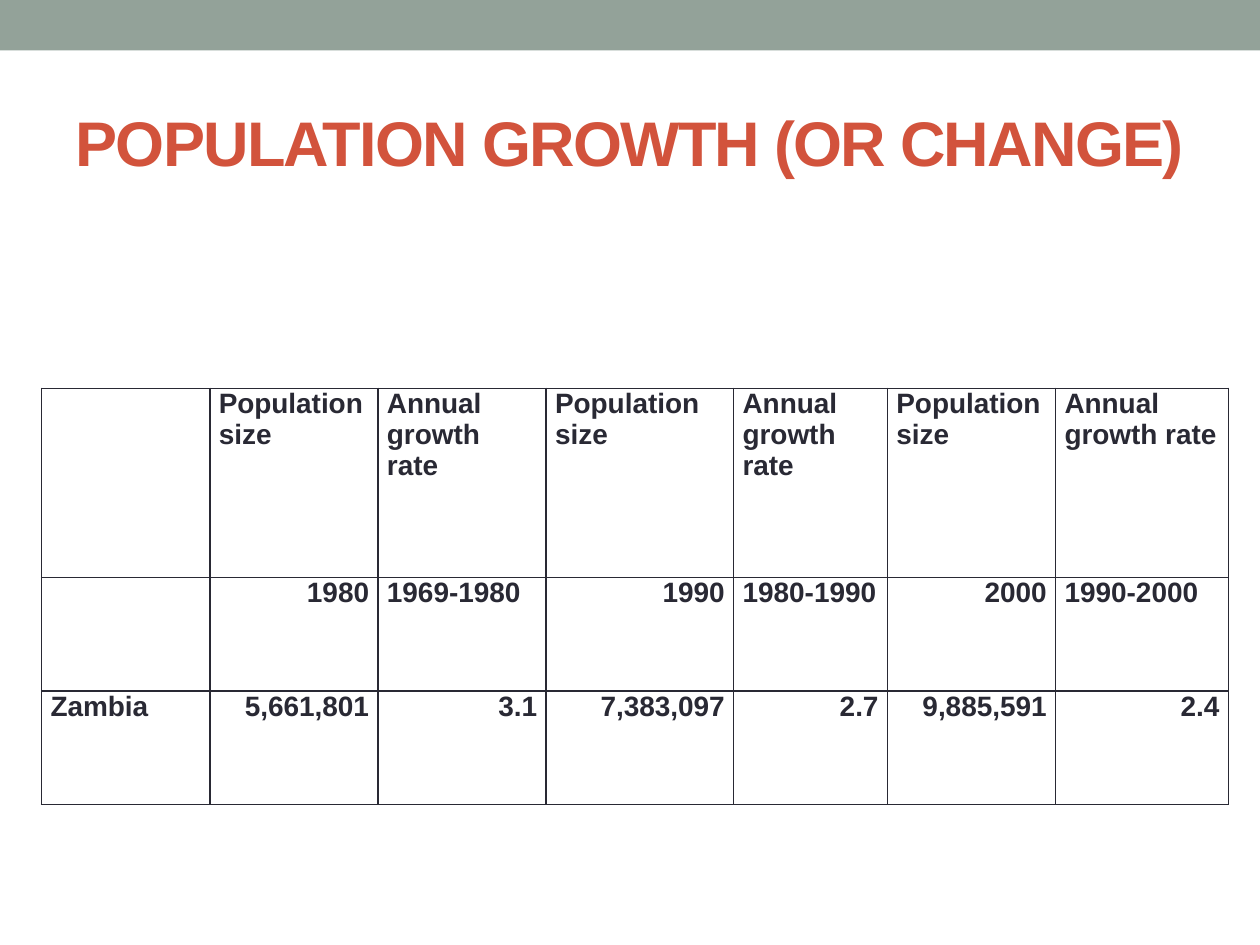
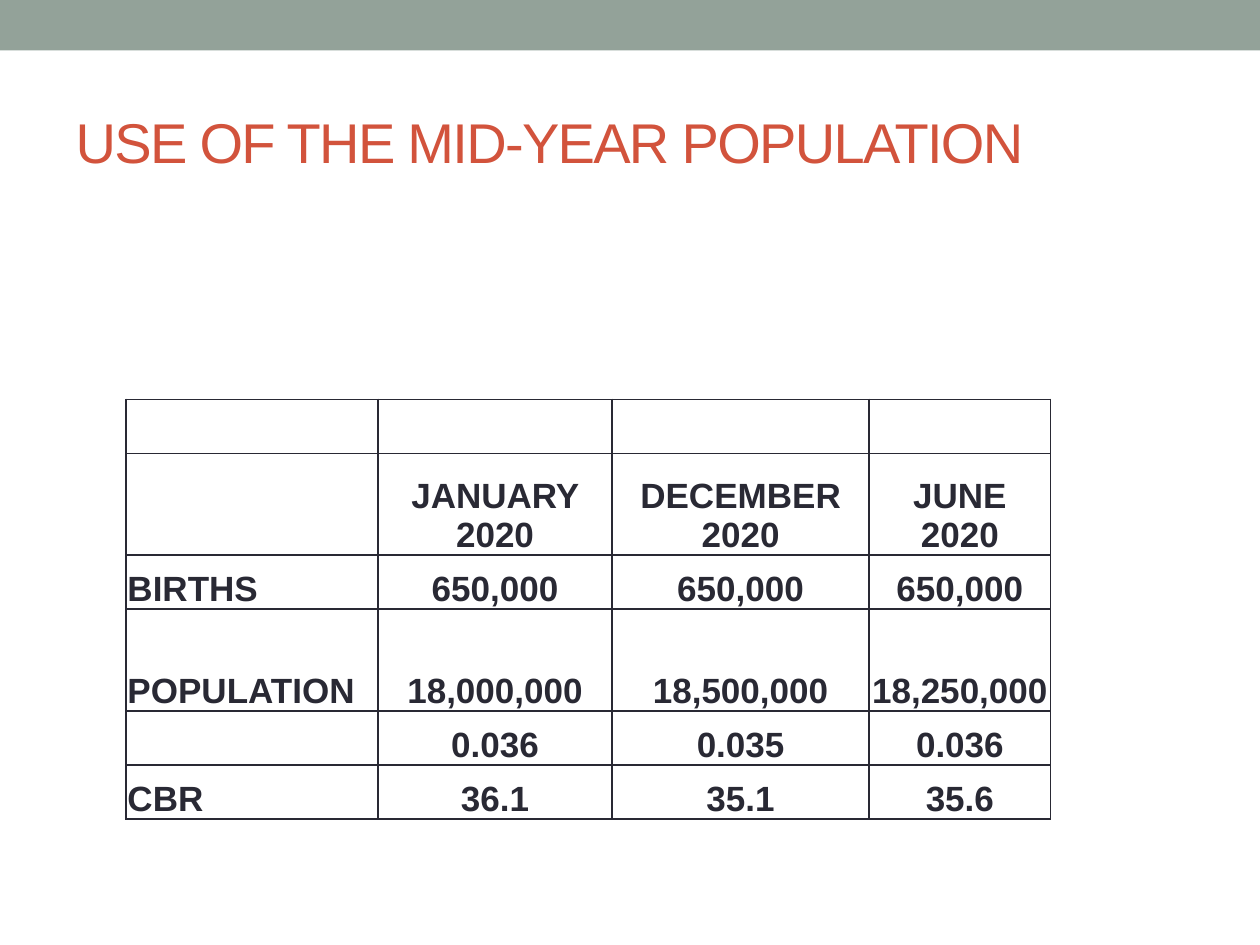
"""Build two slides on population growth and the mid-year population."""
import pptx
import pptx.dml.color
import pptx.enum.shapes
import pptx.enum.text
import pptx.oxml
import pptx.oxml.ns
import pptx.util

Cm = pptx.util.Cm
ALIGN = pptx.enum.text.PP_ALIGN
ANCHOR = pptx.enum.text.MSO_ANCHOR


def rgb(value):
    return pptx.dml.color.RGBColor.from_string(value)


def write(tf, text, size, color, bold=False, align=ALIGN.LEFT, spacing=None):
    p = tf.paragraphs[0]
    p.alignment = align
    if not text:
        p.font.size = pptx.util.Pt(size)
        return
    r = p.add_run()
    r.text = text
    r.font.name = "Arial"
    r.font.size = pptx.util.Pt(size)
    r.font.bold = bold
    r.font.color.rgb = rgb(color)
    if spacing is not None:
        r.font._element.set("spc", str(round(spacing * 100)))


def is_number(text):
    return text.replace(",", "").replace(".", "").isdigit()


class Deck:
    BAND = "93A299"
    ACCENT = "D2533C"
    INK = "292934"

    def __init__(self):
        self.prs = pptx.Presentation()
        self.prs.slide_width = Cm(25.4)
        self.prs.slide_height = Cm(19.05)
        self.s = None

    def slide(self, title, size, bold=False):
        self.s = self.prs.slides.add_slide(self.prs.slide_layouts[5])
        self.band()
        self.title(title, size, bold)

    def band(self):
        sp = self.s.shapes.add_shape(
            pptx.enum.shapes.MSO_SHAPE.RECTANGLE, 0, 0, self.prs.slide_width, Cm(1.02))
        sp.shadow.inherit = False
        sp.fill.solid()
        sp.fill.fore_color.rgb = rgb(self.BAND)
        sp.line.fill.background()

    def title(self, text, size, bold):
        sp = self.s.shapes.title
        sp.left, sp.top, sp.width, sp.height = Cm(1.27), Cm(1.47), Cm(22.86), Cm(2.74)
        tf = sp.text_frame
        tf.word_wrap = True
        tf.auto_size = pptx.enum.text.MSO_AUTO_SIZE.NONE
        tf.vertical_anchor = ANCHOR.MIDDLE
        write(tf, text, size, self.ACCENT, bold=bold, spacing=-1)

    def borders(self, cell):
        tcPr = cell._tc.get_or_add_tcPr()
        for side in ("lnL", "lnR", "lnT", "lnB"):
            tcPr.append(pptx.oxml.parse_xml(
                f'<a:{side} {pptx.oxml.ns.nsdecls("a")} w="12700"><a:solidFill>'
                f'<a:srgbClr val="{self.INK}"/></a:solidFill></a:{side}>'))

    def table(self, left, top, widths, heights, rows, size, margins, anchor, align):
        frame = self.s.shapes.add_table(
            len(rows), len(widths), Cm(left), Cm(top), Cm(sum(widths)), Cm(sum(heights)))
        table = frame.table
        table.first_row = table.horz_banding = False
        for column, width in zip(table.columns, widths):
            column.width = Cm(width)
        for row, height in zip(table.rows, heights):
            row.height = Cm(height)
        for i, texts in enumerate(rows):
            for j, text in enumerate(texts):
                cell = table.cell(i, j)
                self.borders(cell)
                cell.fill.background()
                cell.vertical_anchor = anchor
                (cell.margin_left, cell.margin_top,
                 cell.margin_right, cell.margin_bottom) = map(Cm, margins)
                write(cell.text_frame, text, size, self.INK, bold=True,
                      align=align(j, text))


def main():
    deck = Deck()

    deck.slide("POPULATION GROWTH (OR CHANGE)", 36, bold=True)
    deck.table(
        0.84, 7.83, [3.39, 3.39, 3.39, 3.78, 3.1, 3.39, 3.48], [3.81, 2.29, 2.29],
        [[""] + ["Population size", "Annual growth rate"] * 3,
         ["", "1980", "1969-1980", "1990", "1980-1990", "2000", "1990-2000"],
         ["Zambia", "5,661,801", "3.1", "7,383,097", "2.7", "9,885,591", "2.4"]],
        size=16, margins=(0.18, 0, 0.18, 0), anchor=ANCHOR.TOP,
        align=lambda j, text: ALIGN.RIGHT if is_number(text) else ALIGN.LEFT)

    deck.slide("USE OF THE MID-YEAR POPULATION", 32)
    deck.table(
        2.54, 8.05, [5.08, 4.72, 5.18, 3.66], [1.09, 2.05, 1.09, 2.05, 1.09, 1.09],
        [[""] * 4,
         ["", "JANUARY 2020", "DECEMBER 2020", "JUNE 2020"],
         ["BIRTHS"] + ["650,000"] * 3,
         ["POPULATION", "18,000,000", "18,500,000", "18,250,000"],
         ["", "0.036", "0.035", "0.036"],
         ["CBR", "36.1", "35.1", "35.6"]],
        size=20, margins=(0.03, 0.03, 0.03, 0), anchor=ANCHOR.BOTTOM,
        align=lambda j, text: ALIGN.CENTER if j else ALIGN.LEFT)

    deck.prs.save("out.pptx")


if __name__ == "__main__":
    main()
